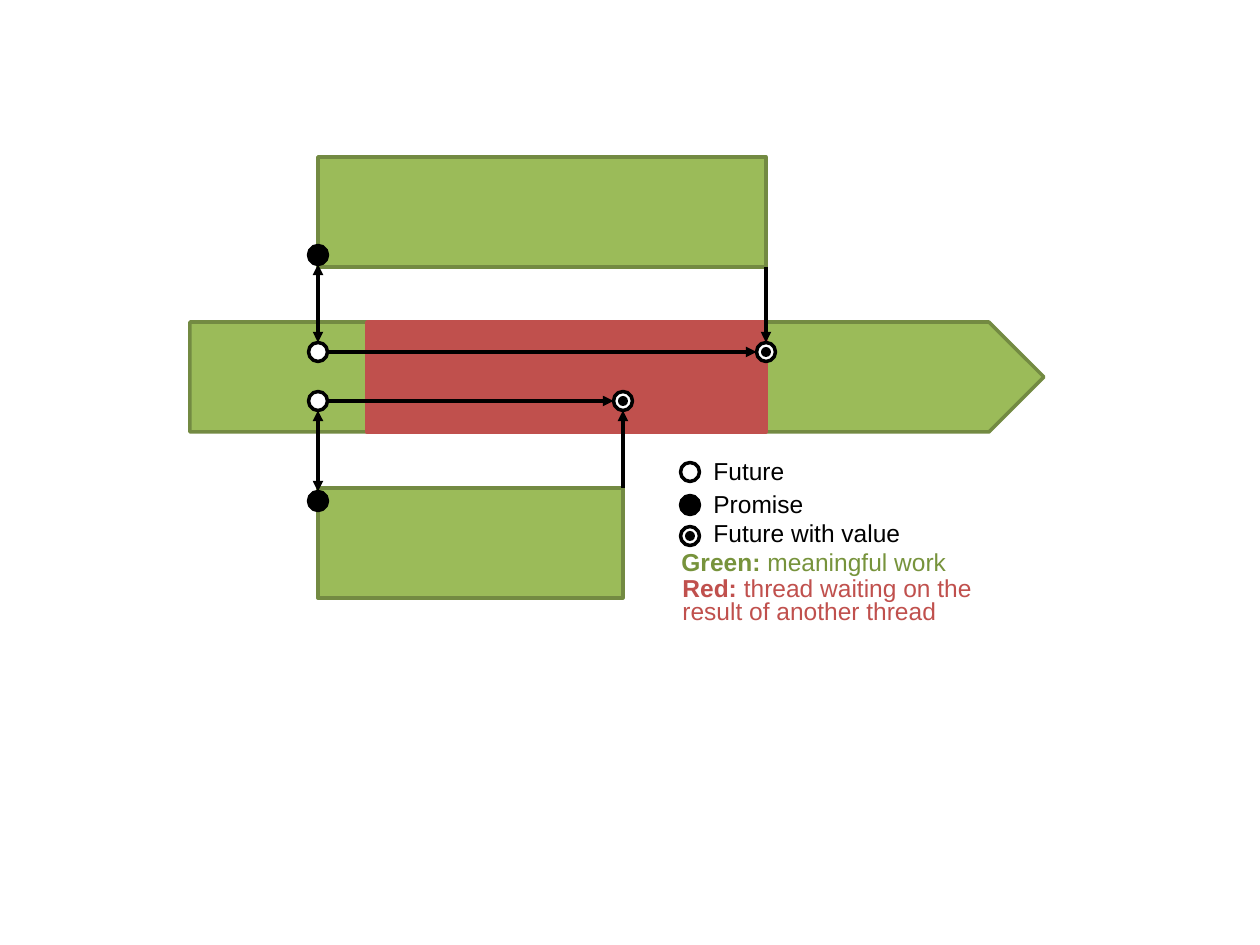
import pptx
import pptx.util
import pptx.dml.color
import pptx.enum.shapes
import pptx.enum.text
import pptx.oxml.ns
import lxml.etree

RGBColor = pptx.dml.color.RGBColor
BLACK = RGBColor(0x00, 0x00, 0x00)
WHITE = RGBColor(0xFF, 0xFF, 0xFF)
WORK_GREEN = RGBColor(0x9B, 0xBB, 0x59)
EDGE_GREEN = RGBColor(0x73, 0x8A, 0x42)
LABEL_GREEN = RGBColor(0x77, 0x93, 0x3C)
WAIT_RED = RGBColor(0xC0, 0x50, 0x4D)

SHAPES = pptx.enum.shapes.MSO_SHAPE
PX_PER_INCH = 126
MARKER = 19
DOT = 10
BAR_HEIGHT = 110


def px(length):
    return pptx.util.Inches(length / PX_PER_INCH)


def add_block(slide, kind, left, top, width, height, fill, edge=None):
    block = slide.shapes.add_shape(kind, px(left), px(top), px(width), px(height))
    block.shadow.inherit = False
    block.fill.solid()
    block.fill.fore_color.rgb = fill
    if edge is None:
        block.line.fill.background()
    else:
        block.line.color.rgb = edge
        block.line.width = pptx.util.Pt(2)


def add_circle(slide, x, y, size, fill, edge=None):
    add_block(slide, SHAPES.OVAL, x - size / 2, y - size / 2, size, size, fill, edge)


def add_marker(slide, state, x, y):
    add_circle(slide, x, y, MARKER, BLACK if state == "promise" else WHITE, BLACK)
    if state == "fulfilled":
        add_circle(slide, x, y, DOT, BLACK)


def add_arrow(slide, x1, y1, x2, y2, ends=("tailEnd",)):
    arrow = slide.shapes.add_connector(
        pptx.enum.shapes.MSO_CONNECTOR.STRAIGHT, px(x1), px(y1), px(x2), px(y2))
    arrow.line.color.rgb = BLACK
    arrow.line.width = pptx.util.Pt(2)
    qn = pptx.oxml.ns.qn
    line = arrow.line._get_or_add_ln()
    for end in ends:
        lxml.etree.SubElement(line, qn(f"a:{end}"), type="triangle")
    lxml.etree.SubElement(arrow._element.spPr, qn("a:effectLst"))


def add_label(slide, left, top, width, height, runs, color, spacing=None):
    label = slide.shapes.add_textbox(px(left), px(top), px(width), px(height))
    frame = label.text_frame
    frame.word_wrap = True
    frame.auto_size = pptx.enum.text.MSO_AUTO_SIZE.SHAPE_TO_FIT_TEXT
    paragraph = frame.paragraphs[0]
    if spacing:
        paragraph.line_spacing = spacing
    for words, bold in runs:
        run = paragraph.add_run()
        run.text = words
        run.font.name = "Arial"
        run.font.size = pptx.util.Pt(14)
        run.font.bold = bold
        run.font.color.rgb = color


def thread_diagram(slide, left, top, width, height):
    fork = left + 128
    wait_start = left + 177
    upper_end, lower_end = left + 576, left + 433
    main_top = top + 165
    upper_bottom = top + BAR_HEIGHT
    lower_top = top + height - BAR_HEIGHT
    upper_future, lower_future = top + 195, top + 244
    upper_promise, lower_promise = top + 98, top + 344
    reach = MARKER / 2

    add_block(slide, SHAPES.PENTAGON, left, main_top, width, BAR_HEIGHT, WORK_GREEN, EDGE_GREEN)
    for bar_top, end in ((lower_top, lower_end), (top, upper_end)):
        add_block(slide, SHAPES.RECTANGLE, fork, bar_top, end - fork, BAR_HEIGHT,
                  WORK_GREEN, EDGE_GREEN)
    add_block(slide, SHAPES.RECTANGLE, wait_start, main_top, upper_end - wait_start,
              BAR_HEIGHT, WAIT_RED, WAIT_RED)

    for future, promise, end in ((upper_future, upper_promise, upper_end),
                                 (lower_future, lower_promise, lower_end)):
        add_marker(slide, "fulfilled", end, future)
        add_marker(slide, "future", fork, future)
        add_marker(slide, "promise", fork, promise)
        add_arrow(slide, fork + reach, future, end - reach, future)
        first, last = sorted((future, promise))
        add_arrow(slide, fork, first + reach, fork, last - reach, ("headEnd", "tailEnd"))

    add_arrow(slide, lower_end, lower_top, lower_end, lower_future + reach)
    add_arrow(slide, upper_end, upper_bottom, upper_end, upper_future - reach)


def legend(slide, left, top, width):
    entries = (("future", "Future", 0, 22, 142),
               ("promise", "Promise", 33, 55, 142),
               ("fulfilled", "Future with value", 62, 86, 223))
    for state, words, label_top, marker_y, label_width in entries:
        add_marker(slide, state, left + 21, top + marker_y)
        add_label(slide, left + 32, top + label_top, label_width, 43,
                  ((words, False),), BLACK)
    add_label(slide, left, top + 91, 306, 43,
              (("Green:", True), (" meaningful work", False)), LABEL_GREEN)
    add_label(slide, left + 1, top + 122, width, 62,
              (("Red: ", True), ("thread waiting on the result of another thread", False)),
              WAIT_RED, 0.8)


def main():
    deck = pptx.Presentation()
    deck.slide_width = px(1260)
    deck.slide_height = px(945)
    slide = deck.slides.add_slide(deck.slide_layouts[6])
    thread_diagram(slide, 190, 157, 854, 441)
    legend(slide, 669, 450, 374)
    deck.save("out.pptx")


if __name__ == "__main__":
    main()
